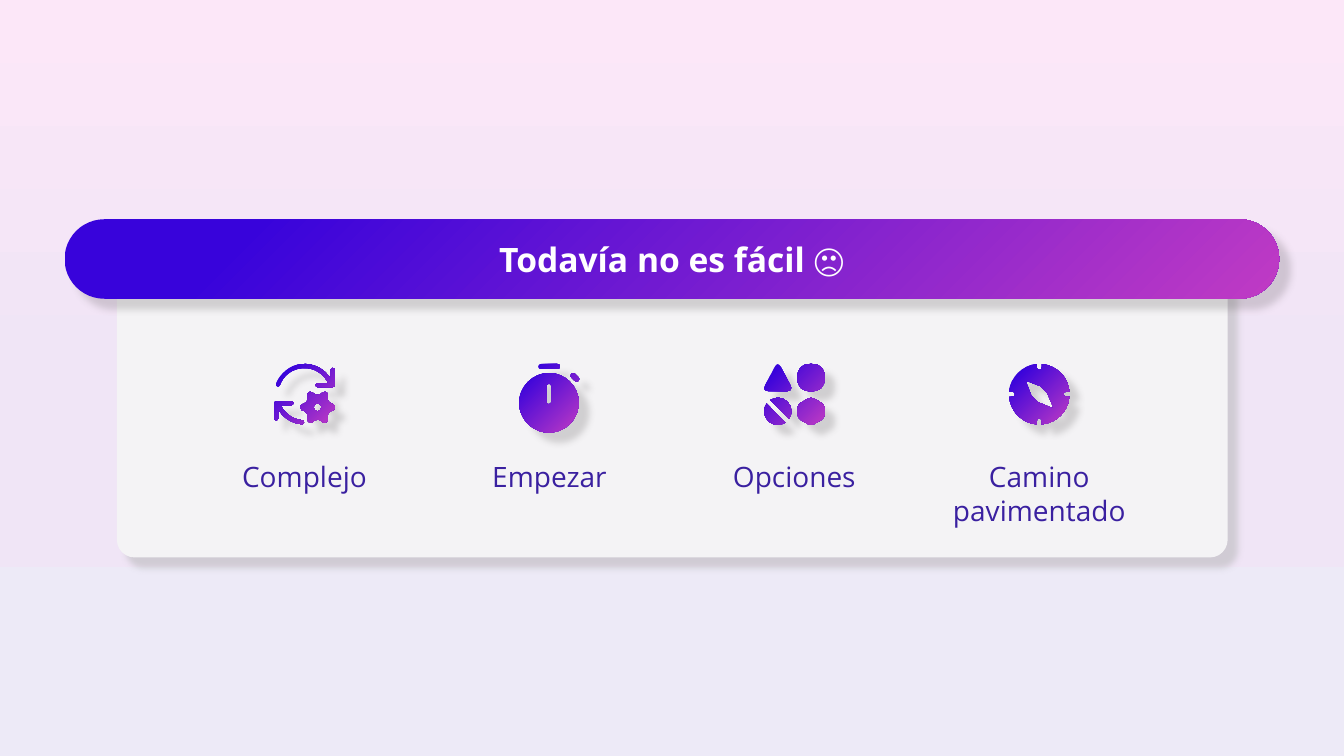
from math import atan2, ceil, cos, degrees, dist, radians, sin, tan

from pptx import Presentation
from pptx import util as u
from pptx.dml.color import RGBColor
from pptx.enum import shapes, text
from pptx.oxml import parse_xml
from pptx.oxml.ns import nsdecls, qn

TITLE = "Todavía no es fácil 🙁"
LABELS = [("Complejo", 144, 31.7), ("Empezar", 173.5, 31.7),
          ("Opciones", 144, 31.7), ("Camino pavimentado", 158.4, 55.4)]

THEME = {
    "font": "Open Sans",
    "title": {"size": u.Pt(24), "bold": True, "color": "FFFFFF"},
    "label": {"size": u.Pt(20), "bold": False, "color": "3A20A0"},
    "panel": "F4F3F5",
    "background": [(0, "FCE7F8"), (50, "F0E5F6"), (100, "EDEAF7")],
    "accent": [(0, "C03BC4"), (85, "3803DB")],
    "panel_shadow": ("B1B3B3", 50),
    "accent_shadow": ("454142", 20),
}
DOWNWARD = '<a:lin ang="5400000" scaled="0"/>'
FROM_CORNER = '<a:path path="circle"><a:fillToRect l="100000" t="100000"/></a:path>'

PANEL = (83.5, 187.2, 793.4, 211)
BAR = (46.1, 156.6, 867.6, 56.8)
FIRST_CENTER, PITCH = 217.5, 174.96
ICON_TOP, ICON_SIZE, ICON_GRID = 260, 43.2, 60
LABEL_TOP = 324.7


def line(*points):
    return [(point,) for point in points]


def arc(x, y, radius, start, end):
    count = ceil(abs(end - start) / 90)
    step = radians(end - start) / count
    handle = 4 / 3 * tan(step / 4)

    def at(angle, pull=0):
        return (x + radius * (cos(angle) - pull * sin(angle)),
                y + radius * (sin(angle) + pull * cos(angle)))

    angles = [radians(start) + step * i for i in range(count + 1)]
    return line(at(angles[0])) + [(at(a, handle), at(b, -handle), at(b))
                                  for a, b in zip(angles, angles[1:])]


def circle(x, y, radius):
    return arc(x, y, radius, 0, 360)


def capsule(x1, y1, x2, y2, radius):
    angle = degrees(atan2(y2 - y1, x2 - x1))
    return (arc(x1, y1, radius, angle + 90, angle + 270)
            + arc(x2, y2, radius, angle - 90, angle + 90))


def toward(start, end, share):
    return tuple(a + (b - a) * share for a, b in zip(start, end))


def rounded(corners, cut):
    segments = []
    for i, corner in enumerate(corners):
        before, after = corners[i - 1], corners[(i + 1) % len(corners)]
        first = toward(corner, before, cut / dist(corner, before))
        last = toward(corner, after, cut / dist(corner, after))
        segments += line(first)
        segments.append((toward(first, corner, 2 / 3), toward(last, corner, 2 / 3), last))
    return segments


def arrow(start):
    head = line((56, 6), (56.6, 4.6), (58, 4), (59.4, 4.6), (60, 6), (60, 21),
                (59.4, 22.4), (58, 23), (43, 23), (41.6, 22.4), (41, 21),
                (41.6, 19.6), (43, 19), (54, 19))
    tail = (30 + 28 * cos(radians(start)), 30 + 28 * sin(radians(start)))
    return (arc(30, 30, 30, start, 330) + head + arc(30, 30, 26, 335, start)
            + arc(*tail, 2, start + 180, start + 360))


def half_turn(contour):
    return [tuple((60 - x, 60 - y) for x, y in segment) for segment in contour]


def gear(x, y):
    profile = [(-20, 12.5), (-8, 17.2), (8, 17.2), (20, 12.5)]
    teeth = [(radians(60 * tooth + angle), radius)
             for tooth in range(6) for angle, radius in profile]
    return rounded([(x + r * cos(a), y + r * sin(a)) for a, r in teeth], 1.5)


def compass_dial():
    segments = []
    for angle in (90, 180, 270, 360):
        a = radians(angle)
        segments += arc(30, 30, 30, angle - 85, angle - 5)
        segments += arc(30 + 26.5 * cos(a), 30 + 26.5 * sin(a), 2.5,
                        angle - 90, angle - 270)
    return segments


NEEDLE = [(38, 29), (31, 22), (18, 17), (17, 18), (22, 31), (29, 38), (43, 44), (44, 43)]
HEXAGON = [(46.5, 32.5), (60, 40.5), (60, 53.5), (46.5, 61.5), (33, 53.5), (33, 40.5)]
ICONS = [
    [arrow(200), half_turn(arrow(275)), gear(43, 43), circle(43, 43, 4)],
    [circle(29.5, 38.5, 29.5), capsule(29.5, 22, 29.5, 37.5, 2.5),
     capsule(53.5, 11.5, 57, 15, 2.5), capsule(21.5, 2.5, 38, 2.5, 2.5)],
    [rounded([(33, 0), (60, 0), (60, 27), (33, 27)], 13),
     rounded([(13.5, -3), (29, 27), (-2, 27)], 7),
     arc(13.5, 47, 13.5, -124, 34), arc(13.5, 47, 13.5, 56, 215),
     rounded(HEXAGON, 4)],
    [compass_dial(), line(*NEEDLE)],
]


def set_gradient(fill, element, stops, direction):
    fill.gradient()
    old = next(element.iter(qn("a:gradFill")))
    stop_xml = "".join(f'<a:gs pos="{position * 1000}"><a:srgbClr val="{color}"/></a:gs>'
                       for position, color in stops)
    old.getparent().replace(old, parse_xml(
        f'<a:gradFill {nsdecls("a")} rotWithShape="1"><a:gsLst>{stop_xml}</a:gsLst>'
        f'{direction}</a:gradFill>'))


def finish(shape, shadow):
    color, opacity = shadow
    shape.line.fill.background()
    shape.shadow.inherit = False
    shape.element.spPr.find(qn("a:effectLst")).append(parse_xml(
        f'<a:outerShdw {nsdecls("a")} blurRad="{u.Pt(5)}" dist="{u.Pt(10)}" dir="2700000" '
        f'algn="tl" rotWithShape="0"><a:srgbClr val="{color}">'
        f'<a:alpha val="{opacity * 1000}"/></a:srgbClr></a:outerShdw>'))


def paint_accent(shape):
    set_gradient(shape.fill, shape.element.spPr, THEME["accent"], FROM_CORNER)
    finish(shape, THEME["accent_shadow"])


def add_rounded(slide, box, adjustment):
    shape = slide.shapes.add_shape(shapes.MSO_SHAPE.ROUNDED_RECTANGLE, *map(u.Pt, box))
    shape.adjustments[0] = adjustment
    return shape


def write(shape, words, style, frame_format):
    frame = shape.text_frame
    frame.text = words
    for name, value in {"word_wrap": True, **frame_format}.items():
        setattr(frame, name, value)
    paragraph = frame.paragraphs[0]
    paragraph.alignment = text.PP_ALIGN.CENTER
    font = paragraph.runs[0].font
    for name, value in {"name": THEME["font"], "size": style["size"],
                        "bold": style["bold"]}.items():
        setattr(font, name, value)
    font.color.rgb = RGBColor.from_string(style["color"])


def add_icon(slide, left, contours):
    unit = ICON_SIZE / ICON_GRID
    placed = [[(u.Pt(left + x * unit), u.Pt(ICON_TOP + y * unit))
               for segment in contour for x, y in segment] for contour in contours]
    builder = slide.shapes.build_freeform(*placed[0][0])
    for number, points in enumerate(placed):
        if number:
            builder.move_to(*points[0])
        builder.add_line_segments(points[1:], close=True)
    shape = builder.convert_to_shape()
    steps = iter(list(shape.element.iter(qn("a:lnTo"))))
    for segment in [segment for contour in contours for segment in contour[1:]]:
        group = [next(steps) for _ in segment]
        if len(group) == 3:
            curve = parse_xml(f'<a:cubicBezTo {nsdecls("a")}/>')
            group[0].addprevious(curve)
            for step in group:
                curve.append(step[0])
                step.getparent().remove(step)
    paint_accent(shape)


def main():
    presentation = Presentation()
    presentation.slide_width, presentation.slide_height = u.Pt(960), u.Pt(540)
    slide = presentation.slides.add_slide(presentation.slide_layouts[6])
    set_gradient(slide.background.fill, slide.element, THEME["background"], DOWNWARD)

    panel = add_rounded(slide, PANEL, 0.06)
    panel.fill.solid()
    panel.fill.fore_color.rgb = RGBColor.from_string(THEME["panel"])
    finish(panel, THEME["panel_shadow"])

    for column, ((label, width, height), contours) in enumerate(zip(LABELS, ICONS)):
        center = FIRST_CENTER + column * PITCH
        box = (center - width / 2, LABEL_TOP, width, height)
        write(slide.shapes.add_textbox(*map(u.Pt, box)), label, THEME["label"],
              {"auto_size": text.MSO_AUTO_SIZE.SHAPE_TO_FIT_TEXT})
        add_icon(slide, center - ICON_SIZE / 2, contours)

    bar = add_rounded(slide, BAR, 0.5)
    paint_accent(bar)
    margins = {f"margin_{side}": 0 for side in ("left", "top", "right", "bottom")}
    write(bar, TITLE, THEME["title"],
          {**margins, "vertical_anchor": text.MSO_ANCHOR.MIDDLE})
    presentation.save("out.pptx")


if __name__ == "__main__":
    main()
